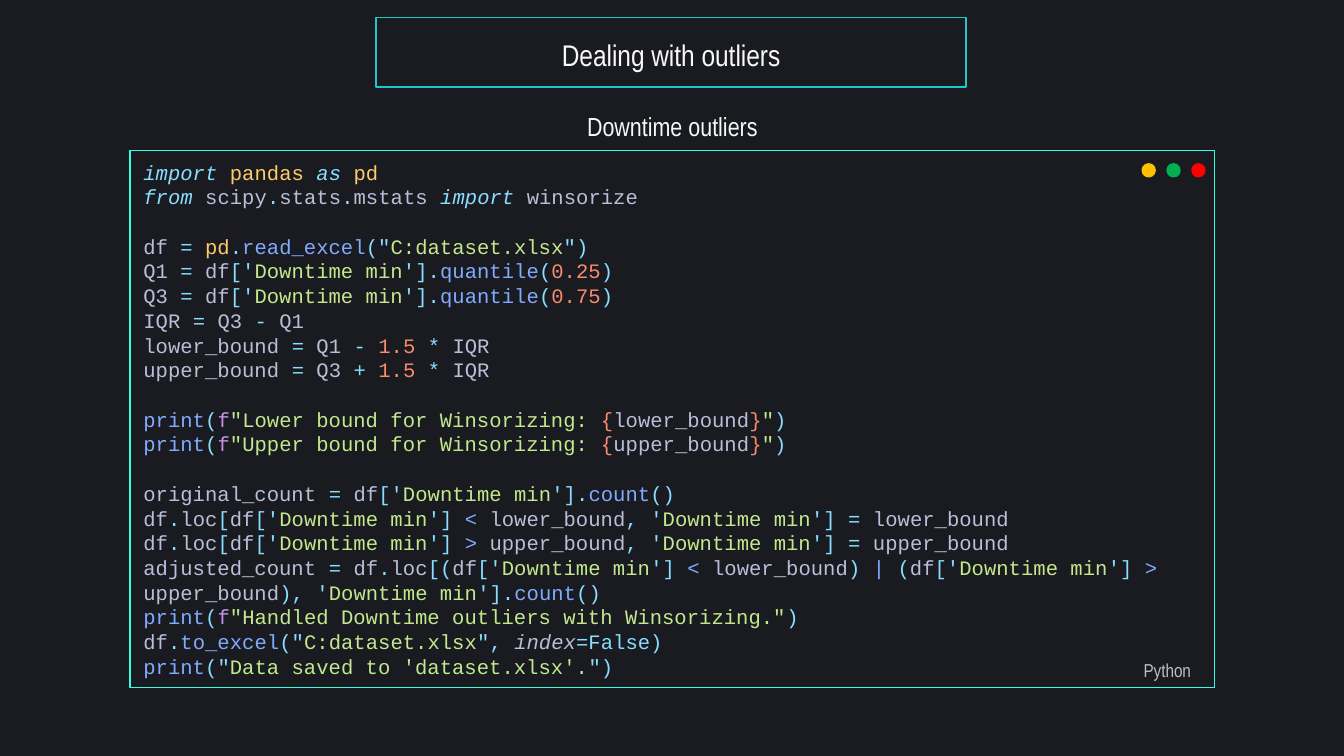
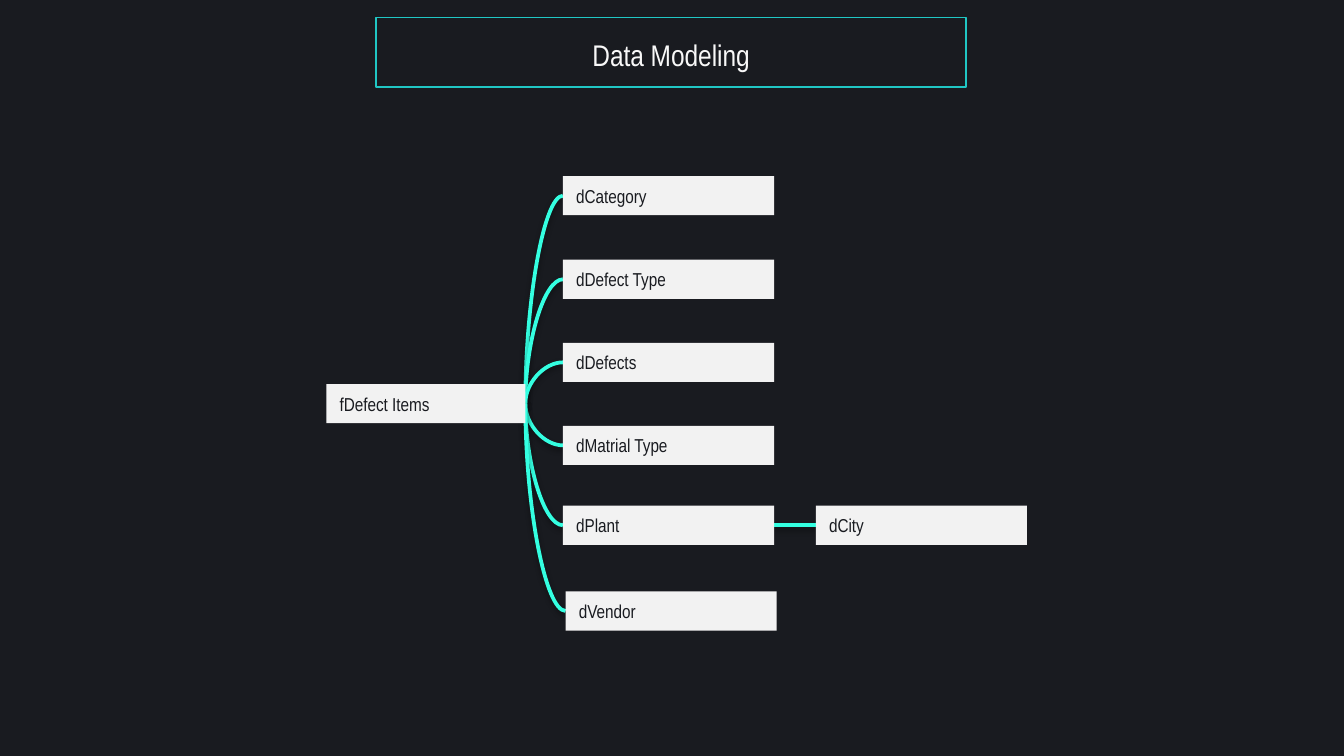
from lxml import etree
from pptx import Presentation
from pptx.dml.color import RGBColor
from pptx.enum.shapes import MSO_CONNECTOR, MSO_SHAPE
from pptx.enum.text import MSO_ANCHOR, MSO_AUTO_SIZE, PP_ALIGN
from pptx.oxml.ns import qn
from pptx.util import Cm, Pt

RECT, OVAL = MSO_SHAPE.RECTANGLE, MSO_SHAPE.OVAL
CURVE, STRAIGHT = MSO_CONNECTOR.CURVE, MSO_CONNECTOR.STRAIGHT
LEFT, CENTER = PP_ALIGN.LEFT, PP_ALIGN.CENTER
MIDDLE, GROW = MSO_ANCHOR.MIDDLE, MSO_AUTO_SIZE.SHAPE_TO_FIT_TEXT

DARK, LIGHT, PALE, GREY = "191B20", "F8F8F8", "F2F2F2", "BFBFBF"
TEAL, AQUA = "20C7C4", "34FFE1"
SANS, MONO = "Arial Narrow", "Courier New"
rgb = RGBColor.from_string


def box(slide, kind, place, fill, line=None, width=0.75):
    shape = slide.shapes.add_shape(kind, *map(Cm, place))
    shape.shadow.inherit = False
    shape.fill.solid()
    shape.fill.fore_color.rgb = rgb(fill)
    if line:
        shape.line.color.rgb = rgb(line)
        shape.line.width = Pt(width)
    else:
        shape.line.fill.background()
    return shape


def label(shape, text, size, color, align=CENTER):
    """Write one line of sans text into a shape and return its paragraph."""
    shape.text_frame.word_wrap = True
    par = shape.text_frame.paragraphs[0]
    par.text = text
    par.alignment = align
    par.font.name, par.font.size = SANS, Pt(size)
    par.font.color.rgb = rgb(color)
    return par


prs = Presentation()
prs.slide_width, prs.slide_height = Cm(25.4), Cm(14.29)
back = prs.slide_master.background.fill
back.solid()
back.fore_color.rgb = rgb(DARK)

# Shared panel and title
slides = []
for title in ("Dealing with outliers", "Data Modeling"):
    slide = prs.slides.add_slide(prs.slide_layouts[6])
    panel = box(slide, RECT, (0.79, 1.07, 23.88, 12.24), DARK)
    tint = panel.fill._xPr.find(qn("a:solidFill"))[0]
    etree.SubElement(tint, qn("a:alpha"), val="50000")
    head = box(slide, RECT, (7.11, 0.33, 11.15, 1.32), DARK, TEAL)
    head.text_frame.margin_top = head.text_frame.margin_bottom = Cm(0.25)
    label(head, title, 16, LIGHT).line_spacing = 1.15
    slides.append(slide)
code_slide, model_slide = slides

# Code slide: "^" and a letter start a run in that style
STYLES = {
    "k": ("89DDFF", True), "o": ("89DDFF", False),
    "a": ("BABED8", True), "n": ("BABED8", False),
    "m": ("FFCB6B", False), "c": ("82AAFF", False),
    "s": ("C3E88D", False), "d": ("F78C6C", False),
    "f": ("C792EA", False),
}
COL = "^ndf^o['^sDowntime min^o']"
LOC = "^ndf^o.^nloc^o["
BLOCKS = [
    [
        "^kimport ^mpandas ^kas ^mpd",
        "^kfrom ^nscipy^o.^nstats^o.^nmstats ^kimport ^nwinsorize",
    ],
    [
        '^ndf ^o= ^mpd^o.^cread_excel^o("^sC:dataset.xlsx^o")',
        "^nQ1 ^o= " + COL + "^o.^cquantile^o(^d0.25^o)",
        "^nQ3 ^o= " + COL + "^o.^cquantile^o(^d0.75^o)",
        "^nIQR ^o=^n Q3 ^o-^n Q1",
        "^nlower_bound ^o=^n Q1 ^o- ^d1.5 ^o*^n IQR",
        "^nupper_bound ^o=^n Q3 ^o+ ^d1.5 ^o*^n IQR",
    ],
    [
        '^cprint^o(^ff^s"Lower bound for Winsorizing: ^d{^nlower_bound^d}^s"^o)',
        '^cprint^o(^ff^s"Upper bound for Winsorizing: ^d{^nupper_bound^d}^s"^o)',
    ],
    [
        "^noriginal_count ^o= " + COL + "^o.^ccount^o()",
        LOC + COL + " ^c< ^nlower_bound^o, '^sDowntime min^o'] = ^nlower_bound",
        LOC + COL + " ^c> ^nupper_bound^o, '^sDowntime min^o'] = ^nupper_bound",
        "^nadjusted_count ^o= " + LOC + "(" + COL + " ^c< ^nlower_bound^o) ^c| ^o("
        + COL + " ^c> ^nupper_bound^o), '^sDowntime min^o'].^ccount^o()",
        '^cprint^o(^ff^s"Handled Downtime outliers with Winsorizing."^o)',
        '^ndf^o.^cto_excel^o("^sC:dataset.xlsx^o", ^aindex^o=False)',
        "^cprint^o(\"^sData saved to 'dataset.xlsx'.^o\")",
    ],
]
PITCH = Pt(13.23)

note = code_slide.shapes.add_textbox(Cm(8.99), Cm(1.96), Cm(7.44), Cm(0.86))
label(note, "Downtime outliers", 14, LIGHT)
note.text_frame.auto_size = GROW

pane = box(code_slide, RECT, (2.46, 2.84, 20.5, 10.16), DARK, AQUA)
frame = pane.text_frame
frame.word_wrap, frame.vertical_anchor = True, MIDDLE
frame.margin_top = frame.margin_bottom = Cm(0.25)
par = None
for block in BLOCKS:
    for row, line in enumerate(block):
        first = par is None
        par = frame.paragraphs[0] if first else frame.add_paragraph()
        par.alignment, par.line_spacing = LEFT, PITCH
        if row == 0 and not first:
            par.space_before = PITCH
        par.font.name, par.font.size = MONO, Pt(11)
        for part in line.split("^")[1:]:
            color, slant = STYLES[part[0]]
            run = par.add_run()
            run.text = part[1:]
            run.font.name, run.font.size = MONO, Pt(11)
            run.font.italic = slant
            run.font.color.rgb = rgb(color)

for step, color in enumerate(("FFC000", "00B050", "FF0000")):
    box(code_slide, OVAL, (21.61 + 0.47 * step, 3.12, 0.2, 0.2), color, color, 2)

tag = code_slide.shapes.add_textbox(Cm(21.16), Cm(12.32), Cm(1.8), Cm(0.69))
label(tag, "Python", 10, GREY)
tag.text_frame.auto_size = GROW

# Model slide: one fact table joined to its dimensions
HIGH, WIDE = 0.74, 3.99
FACT = ("fDefect Items", 6.17, 7.26, 3.76)
DIMS = [
    ("dCategory", 10.64, 3.33, WIDE),
    ("dDefect Type", 10.64, 4.91, WIDE),
    ("dDefects", 10.64, 6.48, WIDE),
    ("dMatrial Type", 10.64, 8.05, WIDE),
    ("dPlant", 10.64, 9.56, WIDE),
    ("dVendor", 10.69, 11.18, WIDE),
]
CITY = ("dCity", 15.42, 9.56, WIDE)

hub = (FACT[1] + FACT[3], FACT[2] + HIGH / 2)
links = [(CURVE, left, top + HIGH / 2, *hub) for _, left, top, _ in DIMS]
mid = CITY[2] + HIGH / 2
links.append((STRAIGHT, CITY[1], mid, DIMS[4][1] + WIDE, mid))
for kind, *ends in links:
    link = model_slide.shapes.add_connector(kind, *map(Cm, ends))
    link.line.color.rgb = rgb(AQUA)
    link.line.width = Pt(2)
    if kind == CURVE:
        link._element.spPr.find(qn("a:prstGeom")).set("prst", "curvedConnector2")

for name, left, top, width in [FACT, *DIMS, CITY]:
    node = box(model_slide, RECT, (left, top, width, HIGH), PALE)
    label(node, name, 10, DARK, LEFT)
    node.text_frame.vertical_anchor = MIDDLE

prs.save("out.pptx")
